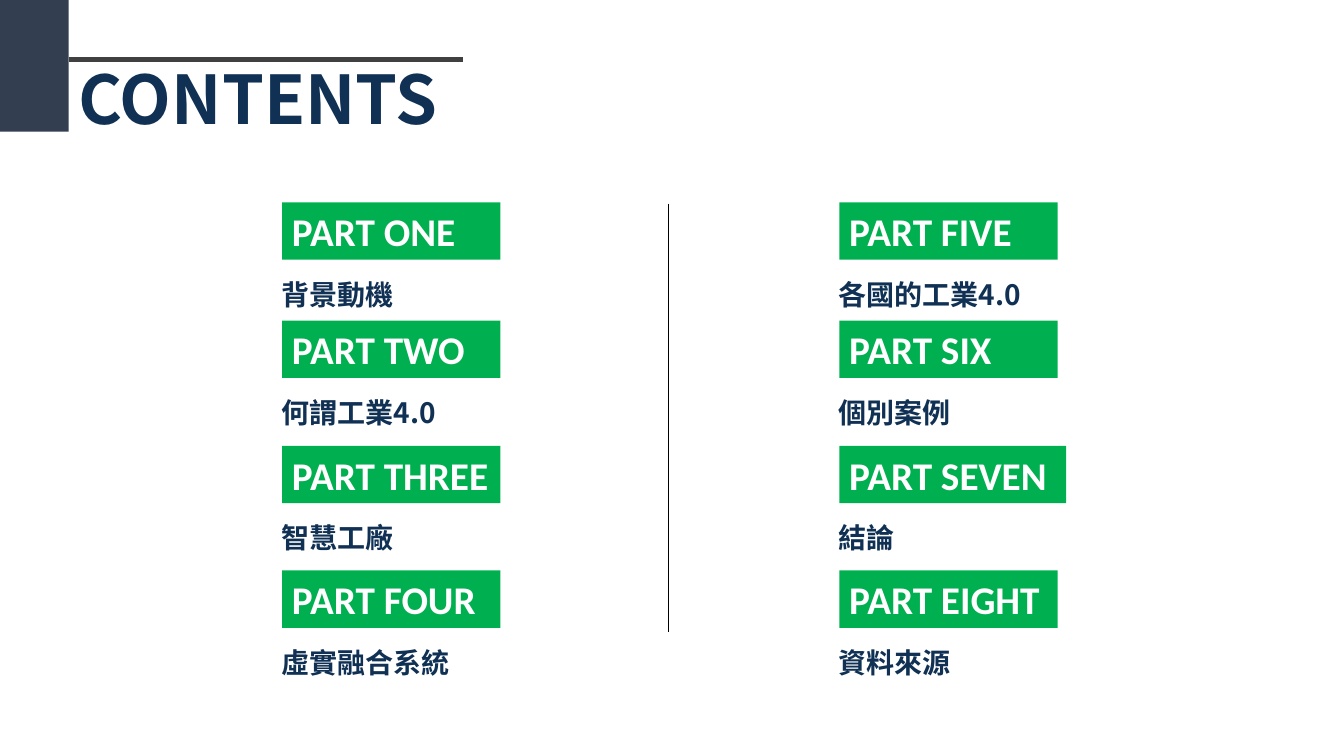
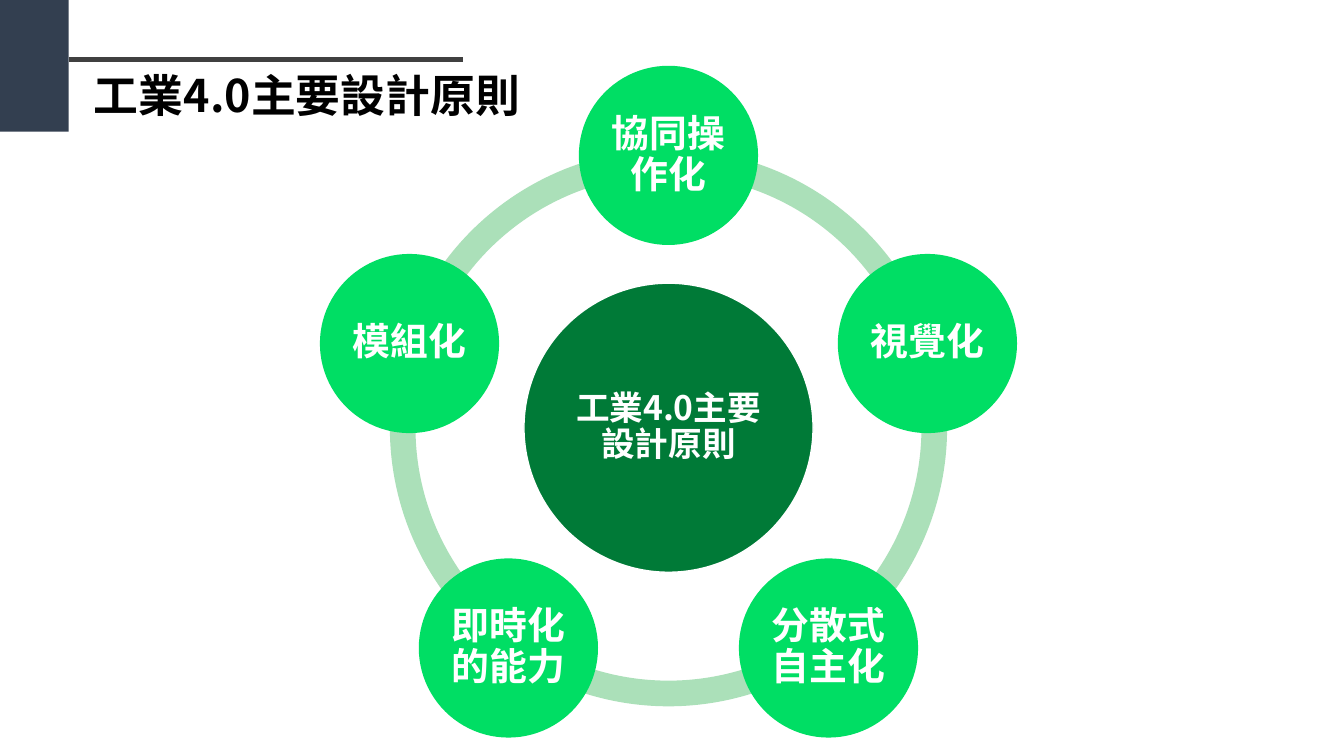
from dataclasses import dataclass
from math import cos, radians, sin

from lxml.etree import SubElement
from pptx import Presentation
from pptx.dml.color import RGBColor as Color
from pptx.enum.shapes import MSO_CONNECTOR as Connector, MSO_SHAPE as Shape
from pptx.enum.text import MSO_ANCHOR as Anchor, PP_ALIGN as Align
from pptx.oxml.ns import qn
from pptx.util import Pt


@dataclass(frozen=True)
class Theme:
    band: str = "333F50"
    rule: str = "404040"
    navy: str = "103154"
    black: str = "000000"
    white: str = "FFFFFF"
    tag: str = "00B050"
    ring: str = "ABE0B9"
    hub: str = "007A37"
    node: str = "00DE64"
    latin: str = "Calibri"
    sans: str = "Noto Sans CJK SC"
    contents_size: int = 48
    title_size: int = 32
    tag_size: int = 28
    label_size: int = 20
    hub_size: int = 24
    node_size: int = 27


THEME = Theme()
PAGE_WIDTH, PAGE_HEIGHT = 960, 540

TAG_WIDTH, TAG_HEIGHT = 156, 41
ROW_TOPS = (0, 84.5, 174, 263)
CONTENTS_COLUMNS = (
    (("PART ONE", "背景動機"), ("PART TWO", "何謂工業4.0"),
     ("PART THREE", "智慧工廠"), ("PART FOUR", "虛實融合系統")),
    (("PART FIVE", "各國的工業4.0"), ("PART SIX", "個別案例"),
     ("PART SEVEN", "結論"), ("PART EIGHT", "資料來源")),
)
PRINCIPLES = ("協同操作化", "視覺化", "分散式自主化", "即時化的能力", "模組化")


def add_text(shape, text, size, color, font, align=Align.LEFT,
             anchor=Anchor.TOP, spacing=1.0, inset=None):
    frame = shape.text_frame
    frame.word_wrap = True
    frame.vertical_anchor = anchor
    if inset is not None:
        frame.margin_left = frame.margin_right = Pt(inset)
        frame.margin_top = frame.margin_bottom = Pt(inset)
    para = frame.paragraphs[0]
    para.alignment = align
    para.line_spacing = spacing
    span = para.add_run()
    span.text = text
    span.font.name = font
    span.font.size = Pt(size)
    span.font.bold = True
    span.font.color.rgb = Color.from_string(color)
    # East Asian characters share the line height of the Latin face
    SubElement(span.font._element, qn("a:ea"), typeface=THEME.latin)


def add_box(page, left, top, width, height):
    return page.shapes.add_textbox(Pt(left), Pt(top), Pt(width), Pt(height))


def add_block(page, kind, left, top, width, height, fill, line=None):
    block = page.shapes.add_shape(kind, Pt(left), Pt(top), Pt(width), Pt(height))
    block.shadow.inherit = False
    block.fill.solid()
    block.fill.fore_color.rgb = Color.from_string(fill)
    if line:
        block.line.color.rgb = Color.from_string(line)
        block.line.width = Pt(1)
    else:
        block.line.fill.background()
    return block


def add_disc(page, center_x, center_y, diameter, fill, line=None):
    return add_block(page, Shape.OVAL, center_x - diameter / 2,
                     center_y - diameter / 2, diameter, diameter, fill, line)


def add_rule(page, x1, y1, x2, y2, color, width):
    rule = page.shapes.add_connector(Connector.STRAIGHT, Pt(x1), Pt(y1), Pt(x2), Pt(y2))
    rule.line.color.rgb = Color.from_string(color)
    rule.line.width = Pt(width)
    SubElement(rule._element.spPr, qn("a:effectLst"))


def add_page(deck):
    """Blank page with the corner band and the rule above the title."""
    page = deck.slides.add_slide(deck.slide_layouts[6])
    add_block(page, Shape.RECTANGLE, 0, 0, 49, 94, THEME.band)
    add_rule(page, 49, 42.5, 331, 42.5, THEME.rule, 3)
    return page


def add_title(page, text, left, top, width, height, size, color):
    add_text(add_box(page, left, top, width, height), text, size, color, THEME.sans)


def add_contents_column(page, left, top, entries):
    for row_top, (part, topic) in zip(ROW_TOPS, entries):
        # Green part tag, a little wider for the longest name
        width = 162 if part == "PART SEVEN" else TAG_WIDTH
        tag = add_block(page, Shape.RECTANGLE, left, top + row_top,
                        width, TAG_HEIGHT, THEME.tag)
        add_text(tag, part, THEME.tag_size, THEME.white, THEME.latin)
        # Topic below the tag, text flush with its edge
        label = add_box(page, left - 7.5, top + row_top + 42.75, 327, 39)
        add_text(label, topic, THEME.label_size, THEME.navy, THEME.sans, spacing=1.3)


def add_principle_wheel(page, center_x, center_y, orbit):
    step = 360 / len(PRINCIPLES)
    angles = [(270 + step * index) % 360 for index in range(len(PRINCIPLES))]
    ring = 398
    # Arcs linking each node to the next
    for angle in angles:
        arc = add_block(page, Shape.BLOCK_ARC, center_x - ring / 2,
                        center_y - ring / 2, ring, ring, THEME.ring)
        # Angle adjustments count 60000ths of a degree, scaled by 100000
        arc.adjustments[0] = angle * 0.6
        arc.adjustments[1] = (angle + step) % 360 * 0.6
        arc.adjustments[2] = 0.046
    # Hub
    hub = add_disc(page, center_x, center_y, 206.5, THEME.hub, THEME.white)
    add_text(hub, "工業4.0主要設計原則", THEME.hub_size, THEME.white, THEME.sans,
             Align.CENTER, Anchor.MIDDLE, 0.9, 2.4)
    # Nodes, clockwise from the top
    for angle, principle in zip(angles, PRINCIPLES):
        turn = radians(angle)
        node = add_disc(page, center_x + orbit * cos(turn),
                        center_y + orbit * sin(turn), 128, THEME.node)
        add_text(node, principle, THEME.node_size, THEME.white, THEME.latin,
                 Align.CENTER, Anchor.MIDDLE, 0.9, 2.7)


def build_contents(deck):
    page = add_page(deck)
    add_title(page, "CONTENTS", 49, 37.5, 286, 65, THEME.contents_size, THEME.navy)
    for left, entries in zip((201.5, 599.5), CONTENTS_COLUMNS):
        add_contents_column(page, left, 144.5, entries)
    add_rule(page, 477.5, 145.5, 477.5, 451.5, THEME.black, 1)


def build_principles(deck):
    page = add_page(deck)
    add_title(page, "工業4.0主要設計原則", 60, 44.5, 322, 46,
              THEME.title_size, THEME.black)
    add_principle_wheel(page, 477.5, 305.5, 194.5)


def main():
    deck = Presentation()
    deck.slide_width, deck.slide_height = Pt(PAGE_WIDTH), Pt(PAGE_HEIGHT)
    build_contents(deck)
    build_principles(deck)
    deck.save("out.pptx")


if __name__ == "__main__":
    main()
